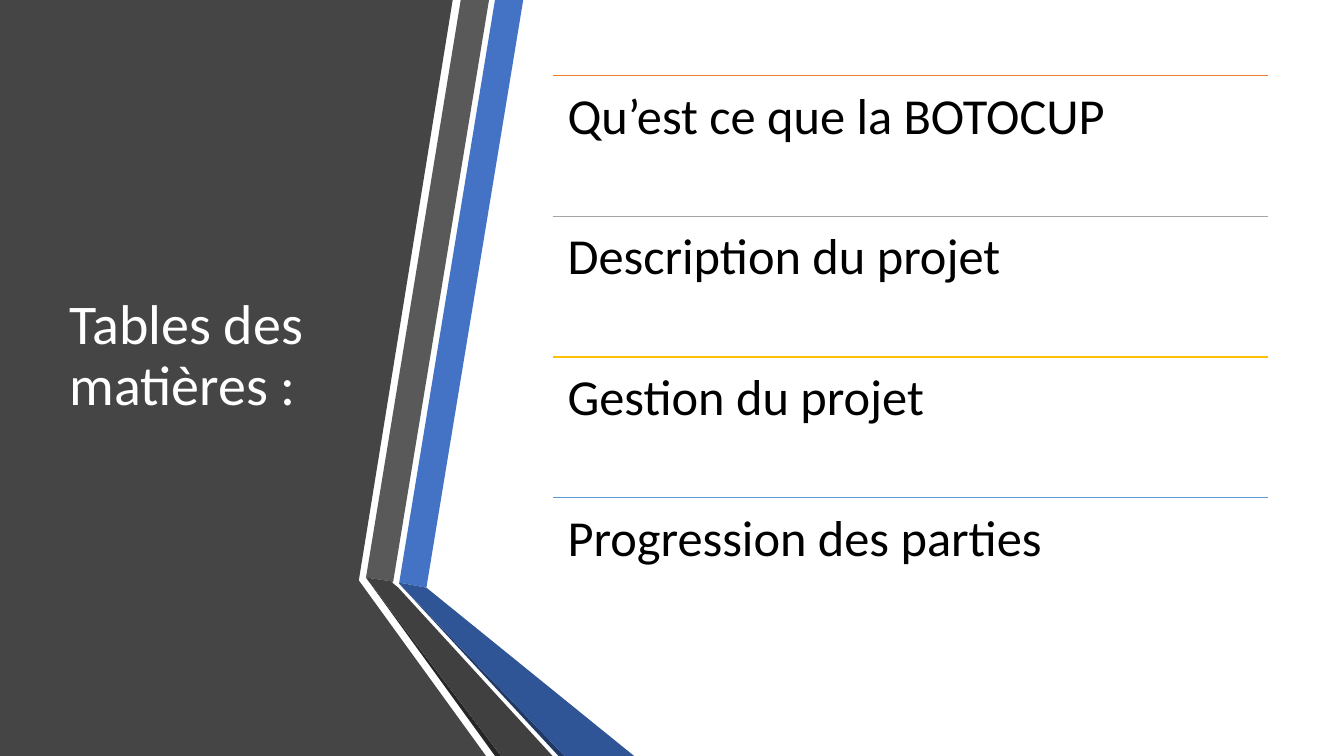
from dataclasses import dataclass

from lxml import etree
from pptx import Presentation
from pptx.dml.color import RGBColor
from pptx.enum.shapes import MSO_CONNECTOR
from pptx.enum.text import MSO_ANCHOR, MSO_AUTO_SIZE, PP_ALIGN
from pptx.oxml.ns import qn
from pptx.slide import Slide
from pptx.text.text import TextFrame
from pptx.util import Inches, Pt

STRAIGHT = MSO_CONNECTOR.STRAIGHT
ANCHOR_TOP, ANCHOR_MIDDLE = MSO_ANCHOR.TOP, MSO_ANCHOR.MIDDLE
NO_AUTOFIT = MSO_AUTO_SIZE.NONE
LEFT = PP_ALIGN.LEFT
TITLE_ONLY_LAYOUT = 5


@dataclass(frozen=True)
class Theme:
    font: str = "Calibri"
    title_size: int = 40
    item_size: int = 36
    line_width: float = 1
    line_spacing: float = 0.9
    white: str = "FFFFFF"
    black: str = "000000"
    panel: str = "454545"
    blue: str = "4472C4"
    dark_blue: str = "2F5597"
    navy: str = "203864"
    grey: str = "595959"
    dark_grey: str = "404040"
    charcoal: str = "262626"
    orange: str = "ED7D31"
    silver: str = "A5A5A5"
    gold: str = "FFC000"
    sky: str = "5B9BD5"


@dataclass(frozen=True)
class Band:
    color: str
    points: tuple[tuple[float, float], ...]


@dataclass(frozen=True)
class Item:
    text: str
    color: str


THEME = Theme()

# Side panel and folded ribbons, back to front
BANDS = (
    Band(THEME.panel, ((0, 0), (4.49, 0), (3.56, 5.75), (3.56, 5.76), (4.82, 7.5), (0, 7.5))),
    Band(THEME.blue, ((3.96, 5.78), (4.23, 5.83), (5.19, 0), (4.91, 0))),
    Band(THEME.grey, ((4.85, 0), (4.57, 0), (3.63, 5.73), (3.9, 5.77))),
    Band(THEME.charcoal, ((3.63, 5.73), (4.91, 7.5), (4.97, 7.5))),
    Band(THEME.navy, ((3.96, 5.79), (5.54, 7.5), (5.6, 7.5))),
    Band(THEME.dark_blue, ((3.96, 5.78), (3.96, 5.79), (5.6, 7.5), (6.29, 7.5), (4.23, 5.83))),
    Band(THEME.dark_grey, ((5.48, 7.5), (3.95, 5.83), (3.89, 5.78), (3.9, 5.77),
                           (3.63, 5.73), (4.97, 7.5))),
)

ITEMS = (
    Item("Qu’est ce que la BOTOCUP", THEME.orange),
    Item("Description du projet", THEME.silver),
    Item("Gestion du projet", THEME.gold),
    Item("Progression des parties", THEME.sky),
)

CONTENT_TOP, CONTENT_HEIGHT = 0.75, 5.58
LIST_LEFT, LIST_WIDTH = 5.48, 7.1
ITEM_HEIGHT = CONTENT_HEIGHT / len(ITEMS)


def write_text(frame: TextFrame, text: str, *, size: float, color: str,
               anchor: MSO_ANCHOR, inset: float, inset_vertical: float) -> None:
    frame.word_wrap = True
    frame.auto_size = NO_AUTOFIT
    frame.vertical_anchor = anchor
    frame.margin_left = frame.margin_right = Inches(inset)
    frame.margin_top = frame.margin_bottom = Inches(inset_vertical)
    paragraph = frame.paragraphs[0]
    paragraph.alignment = LEFT
    paragraph.line_spacing = THEME.line_spacing
    run = paragraph.add_run()
    run.text = text
    run.font.name = THEME.font
    run.font.size = Pt(size)
    run.font.color.rgb = RGBColor.from_string(color)


def draw_band(slide: Slide, band: Band) -> None:
    start, *rest = [(Inches(x), Inches(y)) for x, y in band.points]
    builder = slide.shapes.build_freeform(*start)
    builder.add_line_segments(rest, close=True)
    shape = builder.convert_to_shape()
    shape.shadow.inherit = False
    shape.fill.solid()
    shape.fill.fore_color.rgb = RGBColor.from_string(band.color)
    shape.line.fill.background()


def draw_item(slide: Slide, item: Item, top: float) -> None:
    line = slide.shapes.add_connector(STRAIGHT, Inches(LIST_LEFT), Inches(top),
                                      Inches(LIST_LEFT + LIST_WIDTH), Inches(top))
    line.line.color.rgb = RGBColor.from_string(item.color)
    line.line.width = Pt(THEME.line_width)
    etree.SubElement(line.element.spPr, qn("a:effectLst"))
    box = slide.shapes.add_textbox(Inches(LIST_LEFT), Inches(top),
                                   Inches(LIST_WIDTH), Inches(ITEM_HEIGHT))
    write_text(box.text_frame, item.text, size=THEME.item_size, color=THEME.black,
               anchor=ANCHOR_TOP, inset=0.15, inset_vertical=0.15)


def draw_title(slide: Slide, text: str) -> None:
    title = slide.shapes.title
    title.left, title.top = Inches(0.59), Inches(CONTENT_TOP)
    title.width, title.height = Inches(3.04), Inches(CONTENT_HEIGHT)
    write_text(title.text_frame, text, size=THEME.title_size, color=THEME.white,
               anchor=ANCHOR_MIDDLE, inset=0.1, inset_vertical=0.05)
    # Bring the title in front of the panel
    title.element.getparent().append(title.element)


def main() -> None:
    presentation = Presentation()
    presentation.slide_width, presentation.slide_height = Inches(13.33), Inches(7.5)
    slide = presentation.slides.add_slide(presentation.slide_layouts[TITLE_ONLY_LAYOUT])
    slide.background.fill.solid()
    slide.background.fill.fore_color.rgb = RGBColor.from_string(THEME.white)

    # Decoration and title
    for band in BANDS:
        draw_band(slide, band)
    draw_title(slide, "Tables des matières :")

    # Table of contents
    for index, item in enumerate(ITEMS):
        draw_item(slide, item, CONTENT_TOP + index * ITEM_HEIGHT)

    presentation.save("out.pptx")


if __name__ == "__main__":
    main()
